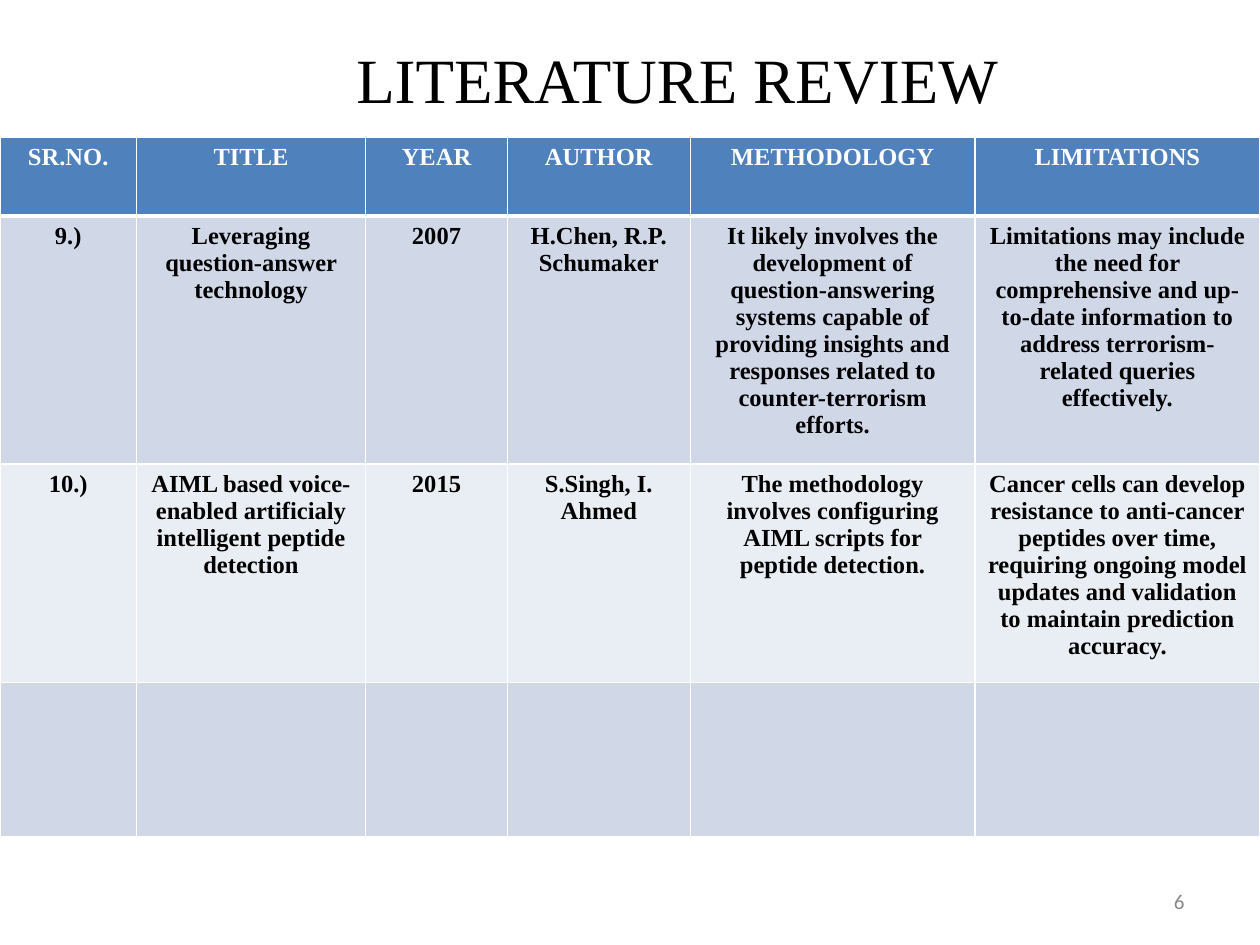
from lxml.etree import SubElement
from pptx import Presentation
from pptx.dml.color import RGBColor
from pptx.enum.text import MSO_ANCHOR, PP_ALIGN
from pptx.oxml.ns import qn
from pptx.util import Pt

BLACK = RGBColor(0x00, 0x00, 0x00)
WHITE = RGBColor(0xFF, 0xFF, 0xFF)
GRAY = RGBColor(0x88, 0x88, 0x88)
HEADER_BLUE = RGBColor(0x4F, 0x81, 0xBD)
BANDS = (RGBColor(0xD0, 0xD8, 0xE8), RGBColor(0xE9, 0xED, 0xF4))

SERIF = "Times New Roman"
COLUMN_WIDTHS = (78, 131, 81, 104.5, 162.75, 162.75)
ROW_HEIGHTS = (45, 88, 88, 88)
ROWS = (
    ("SR.NO.", "TITLE", "YEAR", "AUTHOR", "METHODOLOGY", "LIMITATIONS"),
    (
        "9.)",
        "Leveraging question-answer technology",
        "2007",
        "H.Chen, R.P. Schumaker",
        "It likely involves the development of question-answering systems capable of "
        "providing insights and responses related to counter-terrorism efforts.",
        "Limitations may include the need for comprehensive and up-to-date information "
        "to address terrorism-related queries effectively.",
    ),
    (
        "10.)",
        "AIML based voice-enabled artificialy intelligent peptide detection",
        "2015",
        "S.Singh, I. Ahmed",
        "The methodology involves configuring AIML scripts for peptide detection.",
        "Cancer cells can develop resistance to anti-cancer peptides over time, requiring "
        "ongoing model updates and validation to maintain prediction accuracy.",
    ),
    ("",) * 6,
)


def style_paragraph(paragraph, font_name, size, color, alignment, bold=False):
    paragraph.alignment = alignment
    paragraph.font.name = font_name
    paragraph.font.size = Pt(size)
    paragraph.font.color.rgb = color
    paragraph.font.bold = bold


def add_text(slide, text, left, top, width, height, font_name, size, color,
             alignment, left_inset=7.2):
    shape = slide.shapes.add_textbox(Pt(left), Pt(top), Pt(width), Pt(height))
    frame = shape.text_frame
    frame.word_wrap = True
    frame.vertical_anchor = MSO_ANCHOR.MIDDLE
    frame.margin_left = Pt(left_inset)
    frame.text = text
    style_paragraph(frame.paragraphs[0], font_name, size, color, alignment)


def set_borders(cell, bottom_width):
    """Draw white cell borders; they must precede the fill in the XML."""
    properties = cell._tc.get_or_add_tcPr()
    for side in ("L", "R", "T", "B"):
        width = bottom_width if side == "B" else 1
        line = SubElement(properties, qn(f"a:ln{side}"), w=str(Pt(width)))
        fill = SubElement(line, qn("a:solidFill"))
        SubElement(fill, qn("a:srgbClr"), val=str(WHITE))


def add_review_table(slide, left, top):
    table = slide.shapes.add_table(
        len(ROWS), len(COLUMN_WIDTHS), Pt(left), Pt(top),
        Pt(sum(COLUMN_WIDTHS)), Pt(sum(ROW_HEIGHTS))).table
    for column, width in zip(table.columns, COLUMN_WIDTHS):
        column.width = Pt(width)
    for index, (row, height, texts) in enumerate(zip(table.rows, ROW_HEIGHTS, ROWS)):
        row.height = Pt(height)
        is_header = index == 0
        for cell, text in zip(row.cells, texts):
            set_borders(cell, 3 if is_header else 1)
            cell.fill.solid()
            cell.fill.fore_color.rgb = HEADER_BLUE if is_header else BANDS[(index - 1) % 2]
            cell.text = text
            style_paragraph(cell.text_frame.paragraphs[0], SERIF, 14,
                            WHITE if is_header else BLACK, PP_ALIGN.CENTER, bold=True)


def main():
    presentation = Presentation()
    presentation.slide_width = Pt(720)
    presentation.slide_height = Pt(540)
    slide = presentation.slides.add_slide(presentation.slide_layouts[6])
    add_text(slide, "LITERATURE REVIEW", 0, 0, 720, 90, SERIF, 36, BLACK,
             PP_ALIGN.CENTER, left_inset=61.2)
    add_text(slide, "6", 516, 500.5, 168, 28.75, "Calibri", 12, GRAY, PP_ALIGN.RIGHT)
    add_review_table(slide, 0, 78.5)
    presentation.save("out.pptx")


if __name__ == "__main__":
    main()
